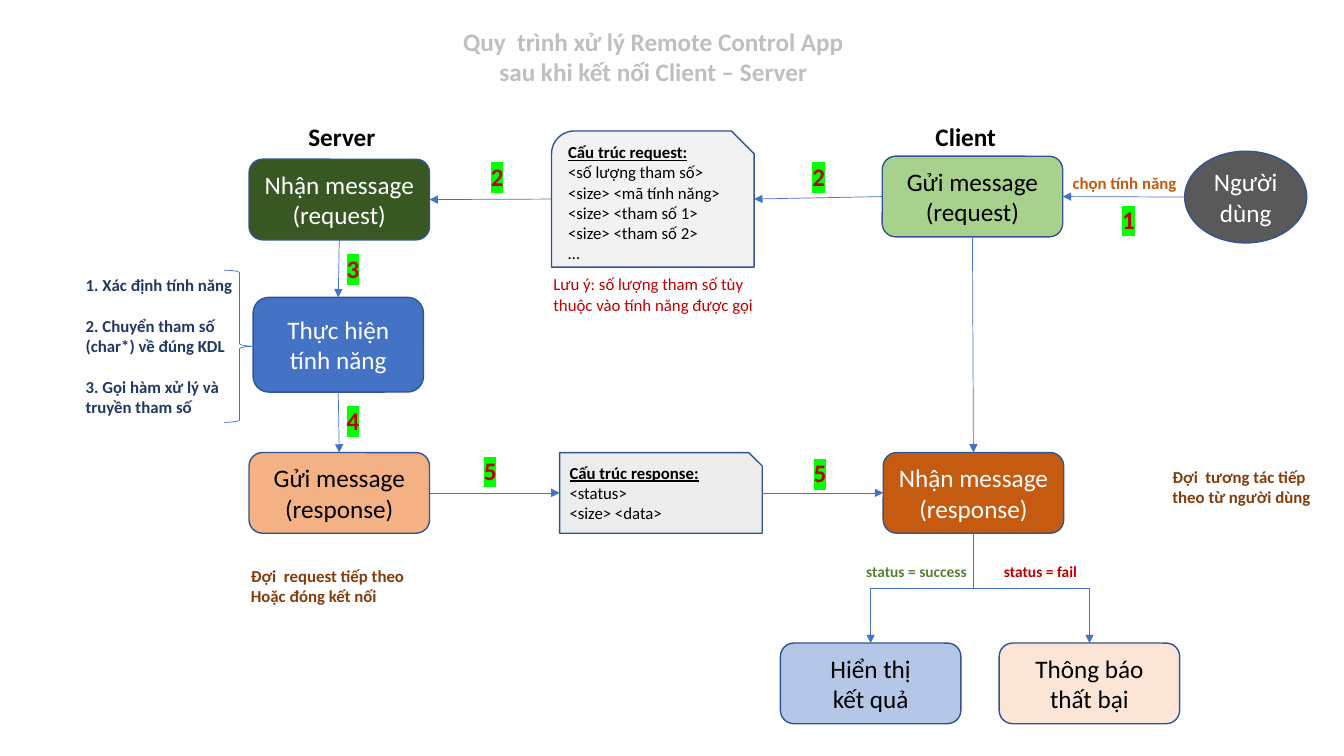
import pptx
import pptx.util
import pptx.dml.color
import pptx.enum.dml
import pptx.enum.shapes
import pptx.enum.text
import pptx.oxml.ns
import lxml.etree

Inches = pptx.util.Inches
SHAPE = pptx.enum.shapes.MSO_SHAPE
LINK = pptx.enum.shapes.MSO_CONNECTOR
ALIGN = pptx.enum.text.PP_ALIGN
ANCHOR = pptx.enum.text.MSO_ANCHOR
qn = pptx.oxml.ns.qn
SubElement = lxml.etree.SubElement
BLUE, OUTLINE = "4472C4", "325491"


def rgb(value):
    """Return the colour for a hex string."""
    return pptx.dml.color.RGBColor.from_string(value)


def write(sp, lines, size, color, bold=False, align=ALIGN.LEFT, anchor=ANCHOR.TOP):
    """Fill a shape with one paragraph per line and return its paragraphs."""
    tf = sp.text_frame
    tf.word_wrap = True
    tf.auto_size = pptx.enum.text.MSO_AUTO_SIZE.NONE
    tf.vertical_anchor = anchor
    for i, line in enumerate(lines):
        p = tf.paragraphs[0] if i == 0 else tf.add_paragraph()
        p.alignment = align
        p.space_before = pptx.util.Pt(0)
        r = p.add_run()
        r.text = line
        r.font.size = pptx.util.Pt(size)
        r.font.bold = bold
        r.font.color.rgb = rgb(color)
        r.font.name = "Calibri"
    return tf.paragraphs


prs = pptx.Presentation()
prs.slide_width, prs.slide_height = Inches(13.33), Inches(7.5)
s = prs.slides.add_slide(prs.slide_layouts[1])

# Title and list of server steps
title, steps = s.placeholders
for sp, box in [(title, (3.87, 0.21, 5.22, 0.71)), (steps, (0.75, 2.68, 1.73, 1.51))]:
    sp.left, sp.top, sp.width, sp.height = [Inches(v) for v in box]
write(title, ["Quy  trình xử lý Remote Control App", "sau khi kết nối Client – Server"],
      18, "BFBFBF", True, ALIGN.CENTER)
step_lines = ["1. Xác định tính năng", "2. Chuyển tham số (char*) về đúng KDL",
              "3. Gọi hàm xử lý và truyền tham số"]
for i, p in enumerate(write(steps, step_lines, 12, "203864", True)):
    p.space_before = pptx.util.Pt(14.6 if i else 0)
    pPr = p._p.get_or_add_pPr()
    pPr.set("marL", "0")
    pPr.set("indent", "0")
    SubElement(pPr, qn("a:buNone"))

# Process boxes
ROUND, SNIP, OVAL = SHAPE.ROUNDED_RECTANGLE, SHAPE.SNIP_ROUND_RECTANGLE, SHAPE.OVAL
BOX_W, BOX_H, NOTE_W = 1.79, 0.8, 2.01
nodes = {}
for name, kind, x, y, w, h, fill, color, lines in [
    ("server_in", ROUND, 2.47, 1.58, BOX_W, BOX_H, "385723", "FFFFFF",
     ["Nhận message", "(request)"]),
    ("client_out", ROUND, 8.75, 1.55, BOX_W, BOX_H, "A9D18E", "000000",
     ["Gửi message", "(request)"]),
    ("user", OVAL, 11.75, 1.5, 1.21, 0.91, "595959", "FFFFFF", ["Người dùng"]),
    ("request", SNIP, 5.47, 1.3, NOTE_W, 1.35, "F2F2F2", "000000",
     ["Cấu trúc request:", "<số lượng tham số>", "<size> <mã tính năng>",
      "<size> <tham số 1>", "<size> <tham số 2>", "…"]),
    ("client_in", ROUND, 8.76, 4.49, BOX_W, BOX_H, "C55A11", "FFFFFF",
     ["Nhận message", "(response)"]),
    ("success", ROUND, 7.74, 6.38, BOX_W, BOX_H, "B4C7E7", "000000",
     ["Hiển thị", "kết quả"]),
    ("fail", ROUND, 9.91, 6.38, BOX_W, BOX_H, "FBE5D6", "000000", ["Thông báo thất bại"]),
    ("execute", ROUND, 2.51, 2.95, 1.69, 0.94, BLUE, "FFFFFF", ["Thực hiện tính năng"]),
    ("server_out", ROUND, 2.47, 4.49, BOX_W, BOX_H, "F4B183", "000000",
     ["Gửi message", "(response)"]),
    ("response", SNIP, 5.55, 4.49, NOTE_W, BOX_H, "EDEDED", "000000",
     ["Cấu trúc response:", "<status>", "<size> <data>"]),
]:
    sp = s.shapes.add_shape(kind, Inches(x), Inches(y), Inches(w), Inches(h))
    sp.shadow.inherit = False
    sp.fill.solid()
    sp.fill.fore_color.rgb = rgb(fill)
    sp.line.color.rgb = rgb(OUTLINE)
    sp.line.width = pptx.util.Pt(1)
    note = kind == SNIP
    paragraphs = write(sp, lines, 12 if note else 18, color,
                       align=ALIGN.LEFT if note else ALIGN.CENTER, anchor=ANCHOR.MIDDLE)
    if note:
        heading = paragraphs[0].runs[0].font
        heading.bold = heading.underline = True
    nodes[name] = sp
nodes["response"].adjustments[0] = 0

# Arrows between boxes; each preset numbers its connection sites differently
SITES = {ROUND: {"t": 0, "l": 1, "b": 2, "r": 3}, SNIP: {"r": 0, "b": 1, "l": 2, "t": 3},
         OVAL: {"l": 2}}
SIDES = {"t": (0.5, 0), "l": (0, 0.5), "b": (0.5, 1), "r": (1, 0.5)}
for start, side1, end, side2 in [
    ("user", "l", "client_out", "r"), ("client_out", "l", "request", "r"),
    ("request", "l", "server_in", "r"), ("server_in", "b", "execute", "t"),
    ("execute", "b", "server_out", "t"), ("server_out", "r", "response", "l"),
    ("response", "r", "client_in", "l"), ("client_out", "b", "client_in", "t"),
    ("client_in", "b", "success", "t"), ("client_in", "b", "fail", "t"),
]:
    elbow = end in ("success", "fail")
    points = []
    for name, side in [(start, side1), (end, side2)]:
        sp, (fx, fy) = nodes[name], SIDES[side]
        points += [int(sp.left + fx * sp.width), int(sp.top + fy * sp.height)]
    x1, y1, x2, y2 = points
    if elbow:
        # A quarter turn about the centre makes the elbow leave downwards
        cx, cy = (x1 + x2) // 2, (y1 + y2) // 2
        half_w, half_h = (y2 - y1) // 2, abs(x2 - x1) // 2
        turn = 1 if x2 < x1 else -1
        points = [cx - turn * half_w, cy - half_h, cx + turn * half_w, cy + half_h]
    c = s.shapes.add_connector(LINK.ELBOW if elbow else LINK.STRAIGHT, *points)
    c.begin_connect(nodes[start], SITES[nodes[start].auto_shape_type][side1])
    c.end_connect(nodes[end], SITES[nodes[end].auto_shape_type][side2])
    c.begin_x, c.begin_y, c.end_x, c.end_y = points
    spPr = c._element.spPr
    if elbow:
        spPr.find(qn("a:xfrm")).set("rot", "5400000" if turn == 1 else "16200000")
    c.line.color.rgb = rgb(BLUE)
    c.line.width = pptx.util.Pt(0.5)
    SubElement(spPr.find(qn("a:ln")), qn("a:tailEnd")).set("type", "triangle")
    SubElement(spPr, qn("a:effectLst"))

# Brace linking the steps to the execute box
brace = s.shapes.add_shape(SHAPE.LEFT_BRACE, Inches(2.22), Inches(2.68), Inches(0.31), Inches(1.51))
brace.rotation = 180
brace.shadow.inherit = False
brace.fill.background()
brace.line.color.rgb = rgb(BLUE)
brace.line.width = pptx.util.Pt(0.5)

# Labels
for x, y, w, h, size, color, bold, align, lines in [
    (2.96, 1.15, 0.91, 0.4, 18, "000000", True, ALIGN.LEFT, ["Server"]),
    (9.18, 1.15, 0.81, 0.4, 18, "000000", True, ALIGN.LEFT, ["Client"]),
    (10.54, 1.66, 1.26, 0.3, 12, "C55A11", True, ALIGN.LEFT, ["chọn tính năng"]),
    (5.39, 2.67, 2.27, 0.5, 12, "C00000", False, ALIGN.LEFT,
     ["Lưu ý: số lượng tham số tùy thuộc vào tính năng được gọi"]),
    (8.43, 5.53, 1.32, 0.29, 11, "548235", True, ALIGN.CENTER, ["status = success"]),
    (9.66, 5.53, 1.32, 0.29, 11, "C00000", True, ALIGN.CENTER, ["status = fail"]),
    (11.53, 4.58, 1.65, 0.5, 12, "843C0B", True, ALIGN.LEFT,
     ["Đợi  tương tác tiếp theo từ người dùng"]),
    (2.39, 5.56, 1.96, 0.5, 12, "843C0B", True, ALIGN.LEFT,
     ["Đợi  request tiếp theo", "Hoặc đóng kết nối"]),
]:
    sp = s.shapes.add_textbox(Inches(x), Inches(y), Inches(w), Inches(h))
    write(sp, lines, size, color, bold, align)

# Highlighted step numbers
for number, x, y in [("1", 11.03, 1.98), ("2", 7.96, 1.55), ("2", 4.77, 1.55), ("3", 3.34, 2.46),
                     ("4", 3.34, 3.97), ("5", 4.7, 4.47), ("5", 7.97, 4.49)]:
    sp = s.shapes.add_textbox(Inches(x), Inches(y), Inches(0.41), Inches(0.4))
    p = write(sp, [number], 18, "C00000", True)[0]
    rPr = p.runs[0]._r.get_or_add_rPr()
    highlight = SubElement(rPr, qn("a:highlight"))
    SubElement(highlight, qn("a:srgbClr")).set("val", "00FF00")
    rPr.find(qn("a:solidFill")).addnext(highlight)

prs.save("out.pptx")
